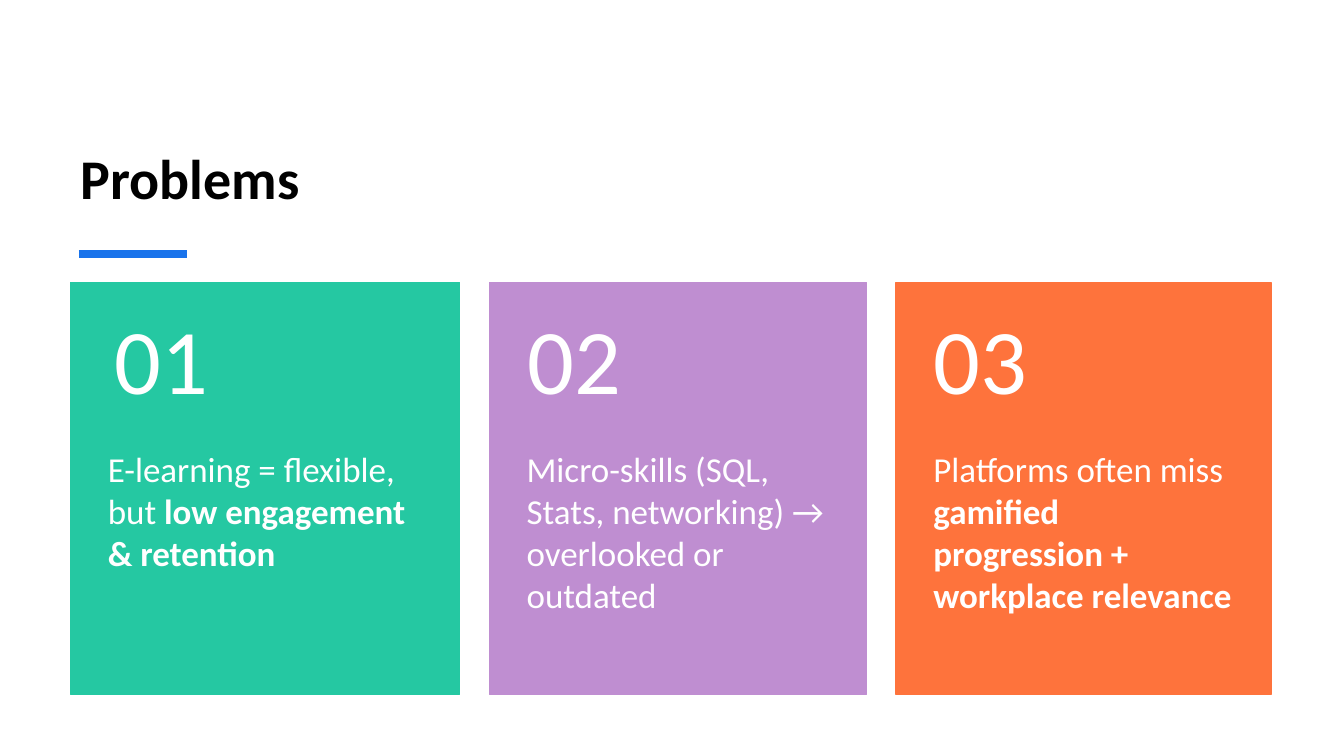
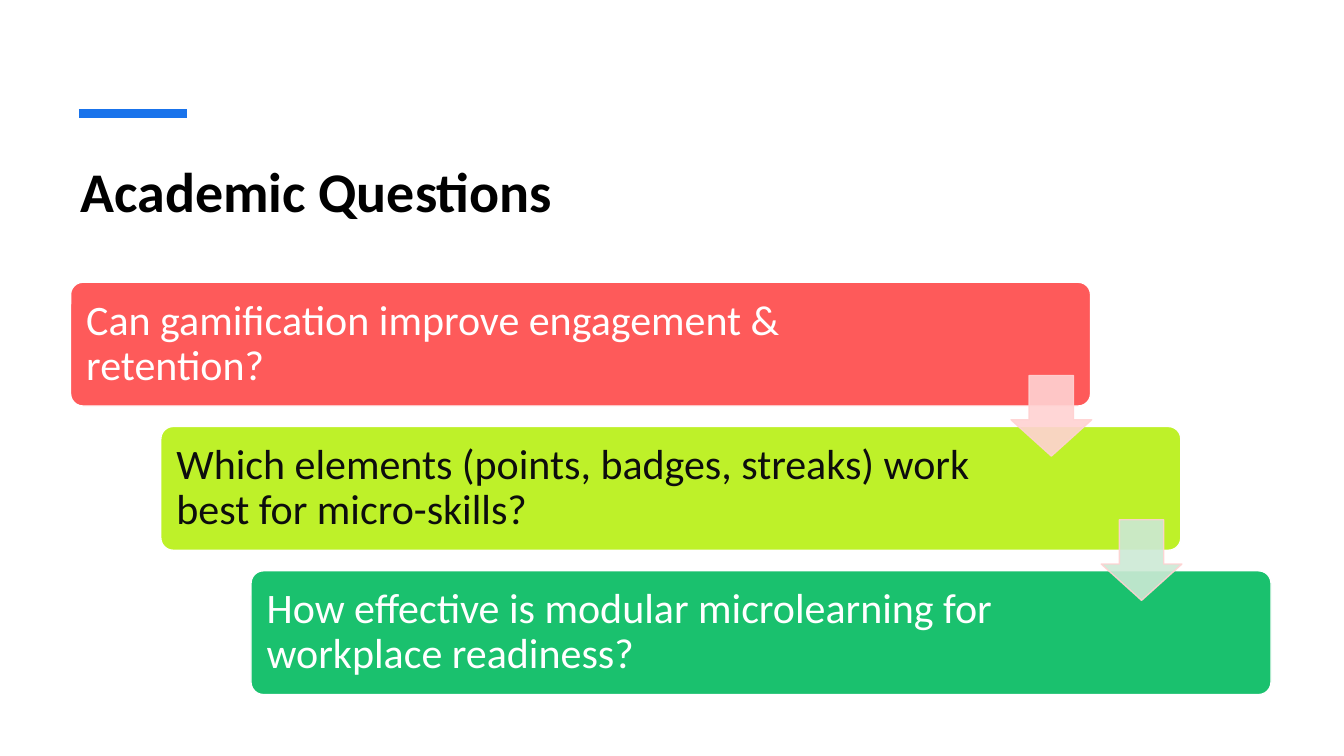
from lxml import etree
from pptx import Presentation
from pptx.dml import color
from pptx.enum import shapes, text
from pptx.oxml import ns
from pptx.util import Pt

COLOURS = {
    "black": "000000", "ink": "0D0D0D", "white": "FFFFFF", "accent": "1973EB",
    "teal": "25C8A2", "lilac": "BF8ED1", "orange": "FE733C",
    "red": "FE5A5A", "lime": "BEF129", "green": "1AC16E",
    "pink": "FFD2D2", "mint": "CCE9D5",
}
FONT = "Calibri"
LEFT, WIDTH = 50.4, 857.5
CONTENT = (LEFT, 201.6, WIDTH, 294.5)
TITLE = {"size": Pt(40), "bold": True}
NUMBER = {"size": Pt(66)}
CARD_BODY = {"size": Pt(25)}
QUESTION = {"size": Pt(30)}

CARDS = [
    ("01", "teal", 278, [("E-learning = flexible, but ", False),
                         ("low engagement & retention", True)]),
    ("02", "lilac", 269.3, [("Micro-skills (SQL, Stats, networking) → "
                             "overlooked or outdated", False)]),
    ("03", "orange", 267.8, [("Platforms often miss ", False),
                             ("gamified progression + workplace relevance", True)]),
]
STEPS = [
    ("Can gamification improve engagement & retention?", "red", "white"),
    ("Which elements (points, badges, streaks) work best for micro-skills?", "lime", "ink"),
    ("How effective is modular microlearning for workplace readiness?", "green", "white"),
]
ARROWS = ["pink", "mint"]


def rgb(name):
    return color.RGBColor.from_string(COLOURS[name])


def points(*lengths):
    return [Pt(length) for length in lengths]


def apply_format(target, values):
    for name, value in values.items():
        setattr(target, name, value)


def write(frame, spans, font, colour, insets, anchor, spacing=None):
    sides = ("margin_left", "margin_top", "margin_right", "margin_bottom")
    apply_format(frame, dict(zip(sides, points(*insets))))
    apply_format(frame, {"word_wrap": True, "vertical_anchor": anchor,
                         "auto_size": text.MSO_AUTO_SIZE.NONE})
    para = frame.paragraphs[0]
    apply_format(para, {"alignment": text.PP_ALIGN.LEFT, "line_spacing": spacing})
    for words, bold in spans:
        span = para.add_run()
        span.text = words
        apply_format(span.font, {"name": FONT, "bold": bold, **font})
        span.font.color.rgb = rgb(colour)


def add_block(page, preset, box, fill, line, adjustments=()):
    block = page.shapes.add_shape(preset, *points(*box))
    block.shadow.inherit = False
    block.fill.solid()
    block.fill.fore_color.rgb = rgb(fill)
    block.line.color.rgb = rgb(line)
    block.line.width = Pt(1)
    for index, value in enumerate(adjustments):
        block.adjustments[index] = value
    return block


def add_text(page, box, *content):
    write(page.shapes.add_textbox(*points(*box)).text_frame, *content)


def add_page(deck, heading, top, height, anchor, rule_y):
    page = deck.slides.add_slide(deck.slide_layouts[5])
    title = page.shapes.title
    places = points(LEFT, top, WIDTH, height)
    apply_format(title, dict(zip(("left", "top", "width", "height"), places)))
    write(title.text_frame, [(heading, True)], TITLE, "black", (7.2, 3.6, 7.2, 3.6), anchor)
    rule = page.shapes.add_connector(shapes.MSO_CONNECTOR.STRAIGHT,
                                     *points(56.4, rule_y, 133.4, rule_y))
    rule.line.color.rgb = rgb("accent")
    rule.line.width = Pt(6)
    etree.SubElement(rule._element.spPr, ns.qn("a:effectLst"))
    return page


def add_card(page, box, number, fill, spans):
    left, top, width, height = box
    head, head_width = 117.8, 267.8
    add_block(page, shapes.MSO_SHAPE.RECTANGLE, box, fill, fill)
    add_text(page, (left, top + head, width, height - head), spans, CARD_BODY,
             "white", (26.6, 0, 26.6, 26), text.MSO_ANCHOR.TOP)
    add_text(page, (left + (width - head_width) / 2, top, head_width, head),
             [(number, False)], NUMBER, "white", (26.6, 13, 26.6, 13),
             text.MSO_ANCHOR.MIDDLE, 0.9)


def add_cards(page, box):
    left, top, width, height = box
    gap = (width - sum(card[2] for card in CARDS)) / (len(CARDS) - 1)
    for number, fill, card_width, spans in CARDS:
        add_card(page, (left, top, card_width, height), number, fill, spans)
        left += card_width + gap


def add_arrow(page, box, fill):
    arrow = add_block(page, shapes.MSO_SHAPE.DOWN_ARROW, box, fill, "pink", (0.55, 0.45))
    for tint in arrow._element.spPr.iter(ns.qn("a:srgbClr")):
        etree.SubElement(tint, ns.qn("a:alpha"), val="90000")


def add_staircase(page, box):
    left, top, width, height = box
    step_width, step_height, arrow_size = 728.6, 88.4, 57.6
    across = (width - step_width) / (len(STEPS) - 1)
    down = (height - step_height) / (len(STEPS) - 1)
    for index, (question, fill, colour) in enumerate(STEPS):
        step = add_block(page, shapes.MSO_SHAPE.ROUNDED_RECTANGLE,
                         (left + index * across, top + index * down, step_width, step_height),
                         fill, "white", (0.1,))
        write(step.text_frame, [(question, False)], QUESTION, colour,
              (8.6, 8.6, 130, 8.6), text.MSO_ANCHOR.MIDDLE, 0.9)
    for index, fill in enumerate(ARROWS):
        arrow_left = left + index * across + step_width - arrow_size + 0.8
        add_arrow(page, (arrow_left, top + index * down + 66.6, arrow_size, arrow_size), fill)


def main():
    deck = Presentation()
    deck.slide_width, deck.slide_height = points(960, 540)
    problems = add_page(deck, "Problems", 44.6, 109.4, text.MSO_ANCHOR.BOTTOM, 181.6)
    add_cards(problems, CONTENT)
    questions = add_page(deck, "Academic Questions", 108, 86.4, text.MSO_ANCHOR.TOP, 81.2)
    add_staircase(questions, CONTENT)
    deck.save("out.pptx")


if __name__ == "__main__":
    main()
